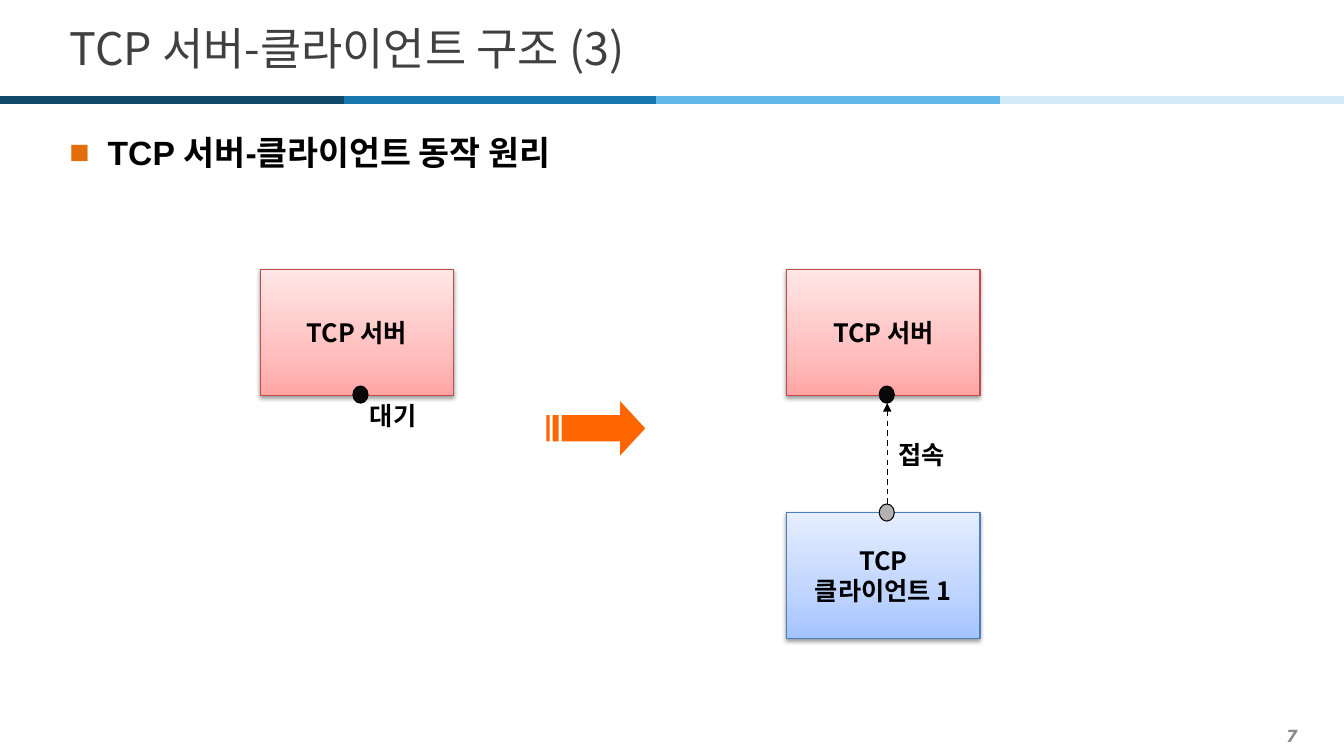
from lxml import etree
from pptx import Presentation
from pptx.dml.color import RGBColor
from pptx.enum.dml import MSO_LINE
from pptx.enum.shapes import MSO_CONNECTOR, MSO_SHAPE
from pptx.enum.text import MSO_ANCHOR, PP_ALIGN
from pptx.oxml import parse_xml
from pptx.oxml.ns import nsdecls, qn
from pptx.util import Inches, Pt

STRAIGHT = MSO_CONNECTOR.STRAIGHT
RECTANGLE, OVAL = MSO_SHAPE.RECTANGLE, MSO_SHAPE.OVAL
TOP, MIDDLE = MSO_ANCHOR.TOP, MSO_ANCHOR.MIDDLE
LEFT, CENTER, RIGHT = PP_ALIGN.LEFT, PP_ALIGN.CENTER, PP_ALIGN.RIGHT
DASH = MSO_LINE.DASH

# Content: positions and sizes in inches
TITLE = "TCP 서버-클라이언트 구조 (3)"
HEADING = "TCP 서버-클라이언트 동작 원리"
PAGE_NUMBER = "7"
BOXES = [  # left, top, lines, kind, dot top, dot colour
    (2.58, 2.67, ["TCP 서버"], "server", 3.83, "server_dot"),
    (7.8, 2.67, ["TCP 서버"], "server", 3.83, "server_dot"),
    (7.8, 5.08, ["TCP", "클라이언트 1"], "client", 5.0, "client_dot"),
]
LABELS = [("대기", 3.57, 4.0), ("접속", 8.81, 4.38)]
BOX_WIDTH, BOX_HEIGHT = 1.92, 1.25
DOT_WIDTH, DOT_HEIGHT, DOT_OFFSET = 0.15, 0.17, 0.92
BAR_WIDTH, BAR_Y = 3.41, 0.99
BARS = [(3.1, "1877AC"), (6.51, "61B8E9"), (9.92, "D3EBF9"), (0, "0F4A6B")]

# Block arrow: points in hundredths of an inch
ARROW_HEAD = [(615, 398), (615, 412), (557, 412), (557, 438),
              (615, 438), (615, 452), (640, 425)]
ARROW_STRIPES = [(548, 554), (542, 545)]
STRIPE_TOP, STRIPE_BOTTOM = 412, 438

THEME = {
    "latin": "Noto Sans CJK KR",
    "title": {"size": Pt(32), "bold": False},
    "heading": {"size": Pt(24), "bold": True, "name": "Arial"},
    "label": {"size": Pt(18), "bold": True},
    "number": {"size": Pt(12), "bold": True, "italic": True, "name": "DejaVu Sans"},
    "title_color": "404040", "number_color": "8C8C8C", "black": "000000",
    "bullet": "E46C0A", "bullet_font": "Arial", "arrow": "FF6600",
    "server_dot": "080808", "client_dot": "B2B2B2",
    "server": (("FFA6A5", "FFC0BF", "FFE7E7"), "BF4C48"),
    "client": (("A4C4FF", "BFD4FF", "E6EEFF"), "4B7EBC"),
}
GRADIENT_POSITIONS = (0, 35, 100)

presentation = Presentation()
presentation.slide_width, presentation.slide_height = Inches(13.33), Inches(7.5)
slide = presentation.slides.add_slide(presentation.slide_layouts[6])


def color(name):
    return RGBColor.from_string(THEME.get(name, name))


def write(shape, lines, style, font_color="black", align=LEFT, anchor=MIDDLE, wrap=True):
    frame = shape.text_frame
    frame.word_wrap, frame.vertical_anchor = wrap, anchor
    for index, line in enumerate(lines):
        paragraph = frame.paragraphs[0] if index == 0 else frame.add_paragraph()
        paragraph.alignment = align
        run = paragraph.add_run()
        run.text = line
        for key, value in {"name": THEME["latin"], **THEME[style]}.items():
            setattr(run.font, key, value)
        run.font.color.rgb = color(font_color)
        east_asian = etree.SubElement(run.font._element, qn("a:ea"))
        east_asian.set("typeface", THEME["latin"])
    return frame.paragraphs[0]


def add_text(text, area, style, **options):
    return write(slide.shapes.add_textbox(*map(Inches, area)), [text], style, **options)


def add_line(start, end, line_color, width):
    line = slide.shapes.add_connector(STRAIGHT, *map(Inches, start + end))
    line.line.color.rgb = color(line_color)
    line.line.width = Pt(width)
    etree.SubElement(line._element.spPr, qn("a:effectLst"))
    return line


def add_outlined(preset, area, line_color):
    shape = slide.shapes.add_shape(preset, *map(Inches, area))
    shape.shadow.inherit = False
    shape.line.color.rgb = color(line_color)
    shape.line.width = Pt(0.75)
    return shape


def add_box(left, top, lines, kind):
    stops, border = THEME[kind]
    box = add_outlined(RECTANGLE, (left, top, BOX_WIDTH, BOX_HEIGHT), border)
    # Three-stop gradient, running upwards
    stop_xml = "".join(
        f'<a:gs pos="{position * 1000}"><a:srgbClr val="{stop}"/></a:gs>'
        for position, stop in zip(GRADIENT_POSITIONS, stops))
    properties = box._element.spPr
    properties.find(qn("a:prstGeom")).addnext(parse_xml(
        f'<a:gradFill {nsdecls("a")} rotWithShape="1"><a:gsLst>{stop_xml}</a:gsLst>'
        '<a:lin ang="16200000" scaled="0"/></a:gradFill>'))
    # Soft shadow below
    properties.find(qn("a:effectLst")).append(parse_xml(
        f'<a:outerShdw {nsdecls("a")} blurRad="{Pt(3.1)}" dist="{Pt(1.6)}" '
        'dir="5400000" rotWithShape="0"><a:srgbClr val="000000">'
        '<a:alpha val="38000"/></a:srgbClr></a:outerShdw>'))
    write(box, lines, "label", align=CENTER, wrap=False)


# Page number, colour bar and title
add_text(PAGE_NUMBER, (0.2, 7.14, 12.77, 0.31), "number",
         font_color="number_color", align=RIGHT)
for bar_left, bar_color in BARS:
    add_line((bar_left, BAR_Y), (bar_left + BAR_WIDTH, BAR_Y), bar_color, 6)
add_text(TITLE, (0.59, 0.13, 12.21, 0.68), "title", font_color="title_color")

# Bulleted heading
heading = add_text(HEADING, (0.59, 1.18, 12.21, 6.03), "heading", anchor=TOP)
heading.line_spacing, heading.space_after = 1.2, Pt(2)
heading_format = heading._p.get_or_add_pPr()
heading_format.set("marL", str(Inches(0.38)))
heading_format.set("indent", str(-Inches(0.38)))
bullet_color = etree.SubElement(heading_format, qn("a:buClr"))
etree.SubElement(bullet_color, qn("a:srgbClr")).set("val", THEME["bullet"])
etree.SubElement(heading_format, qn("a:buFont")).set("typeface", THEME["bullet_font"])
etree.SubElement(heading_format, qn("a:buChar")).set("char", "■")

# Servers and client, each with its socket dot
for left, top, lines, kind, dot_top, dot_color in BOXES:
    add_box(left, top, lines, kind)
    dot = add_outlined(OVAL, (left + DOT_OFFSET, dot_top, DOT_WIDTH, DOT_HEIGHT), "black")
    dot.fill.solid()
    dot.fill.fore_color.rgb = color(dot_color)

# Connection from client to server
connection = add_line((8.8, 5.0), (8.8, 4.0), "black", 1)
connection.line.dash_style = DASH
etree.SubElement(connection.line._get_or_add_ln(), qn("a:tailEnd")).set("type", "triangle")

for label, left, top in LABELS:
    add_text(label, (left, top, 1.69, 0.25), "label")

# Striped block arrow between the two states
outlines = [ARROW_HEAD] + [
    [(left, STRIPE_TOP), (left, STRIPE_BOTTOM), (right, STRIPE_BOTTOM), (right, STRIPE_TOP)]
    for left, right in ARROW_STRIPES]
builder = slide.shapes.build_freeform(*ARROW_HEAD[0], scale=Inches(0.01))
for index, outline in enumerate(outlines):
    if index:
        builder.move_to(*outline[0])
    builder.add_line_segments(outline[1:], close=True)
arrow = builder.convert_to_shape()
arrow.shadow.inherit = False
arrow.fill.solid()
arrow.fill.fore_color.rgb = color("arrow")
arrow.line.fill.background()

presentation.save("out.pptx")
